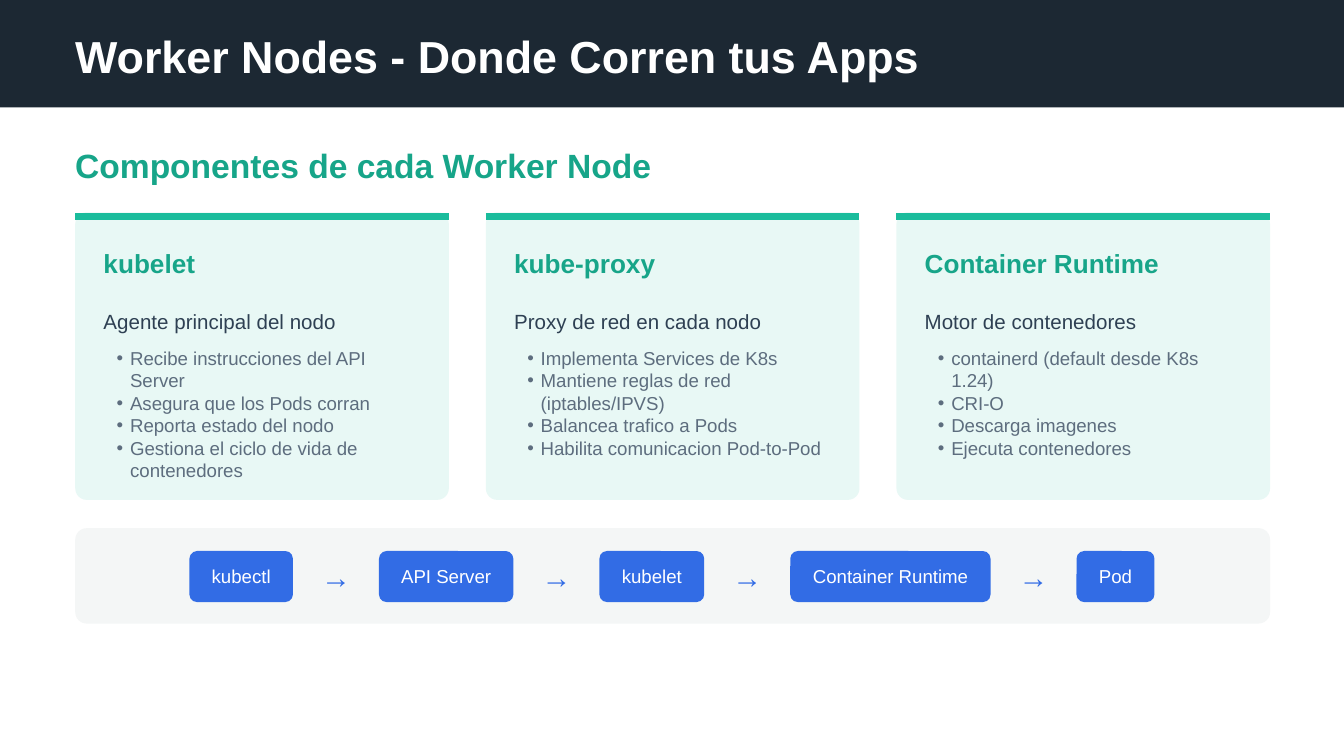
from lxml import etree
from pptx import Presentation
from pptx.dml.color import RGBColor
from pptx.enum.shapes import MSO_CONNECTOR, MSO_SHAPE
from pptx.enum.text import MSO_ANCHOR, PP_ALIGN
from pptx.oxml.ns import qn
from pptx.util import Inches, Pt

COLORS = {
    "header": "1C2833", "white": "FFFFFF", "heading": "17A589", "accent": "1ABC9C",
    "card": "E8F8F5", "lead": "2E4053", "bullet": "5D6D7E",
    "flow": "F4F6F6", "step": "326CE5",
}
MARGIN, CONTENT_WIDTH = 0.56, 8.89
CARD_TOP, CARD_WIDTH, CARD_HEIGHT = 1.58, 2.78, 2.14
STEP_GAP = 0.64

CARDS = [
    ("kubelet", "Agente principal del nodo", 0.94, [
        "Recibe instrucciones del API Server",
        "Asegura que los Pods corran",
        "Reporta estado del nodo",
        "Gestiona el ciclo de vida de contenedores",
    ]),
    ("kube-proxy", "Proxy de red en cada nodo", 0.78, [
        "Implementa Services de K8s",
        "Mantiene reglas de red (iptables/IPVS)",
        "Balancea trafico a Pods",
        "Habilita comunicacion Pod-to-Pod",
    ]),
    ("Container Runtime", "Motor de contenedores", 0.78, [
        "containerd (default desde K8s 1.24)",
        "CRI-O",
        "Descarga imagenes",
        "Ejecuta contenedores",
    ]),
]
STEPS = [("kubectl", 0.77), ("API Server", 1), ("kubelet", 0.78),
         ("Container Runtime", 1.49), ("Pod", 0.58)]

presentation = Presentation()
presentation.slide_width = Inches(10)
presentation.slide_height = Inches(10 * 9 / 16)
slide = presentation.slides.add_slide(presentation.slide_layouts[6])


def add_box(left, top, width, height, color, corner=None):
    """Add a borderless filled rectangle, rounded when a corner ratio is given."""
    kind = MSO_SHAPE.RECTANGLE if corner is None else MSO_SHAPE.ROUNDED_RECTANGLE
    shape = slide.shapes.add_shape(
        kind, Inches(left), Inches(top), Inches(width), Inches(height))
    if corner is not None:
        shape.adjustments[0] = corner
    shape.shadow.inherit = False
    shape.fill.solid()
    shape.fill.fore_color.rgb = RGBColor.from_string(COLORS[color])
    shape.line.fill.background()
    return shape


def write(shape, lines, size, color, bold=False, bullets=False, spacing=None, wrap=True):
    """Fill a shape with one paragraph per line, without insets."""
    frame = shape.text_frame
    settings = {
        "word_wrap": wrap, "margin_left": Inches(0.1 if bullets else 0),
        "margin_top": 0, "margin_right": 0, "margin_bottom": 0,
    }
    for name, value in settings.items():
        setattr(frame, name, value)
    for index, line in enumerate(lines):
        paragraph = frame.add_paragraph() if index else frame.paragraphs[0]
        if bullets:
            properties = paragraph._p.get_or_add_pPr()
            properties.set("marL", str(Inches(0.1)))
            properties.set("indent", str(-Inches(0.1)))
            bullet_color = etree.SubElement(properties, qn("a:buClr"))
            etree.SubElement(bullet_color, qn("a:srgbClr"), val=COLORS[color])
            etree.SubElement(properties, qn("a:buSzPct"), val="100000")
            etree.SubElement(properties, qn("a:buFont"), typeface="Arial")
            etree.SubElement(properties, qn("a:buChar"), char="•")
        if spacing:
            paragraph.line_spacing = spacing
        run = paragraph.add_run()
        run.text = line
        for name, value in {"name": "Arial", "size": Pt(size), "bold": bold}.items():
            setattr(run.font, name, value)
        run.font.color.rgb = RGBColor.from_string(COLORS[color])


# Header and subtitle
add_box(0, 0, 10, 0.8, "header")
for text, top, height, size, color in [
    ("Worker Nodes - Donde Corren tus Apps", 0.21, 0.39, 24, "white"),
    ("Componentes de cada Worker Node", 1.08, 0.29, 18, "heading"),
]:
    heading = slide.shapes.add_textbox(
        Inches(MARGIN), Inches(top), Inches(9.07), Inches(height))
    write(heading, [text], size, color, bold=True)

# Component cards
card_step = (CONTENT_WIDTH - CARD_WIDTH) / (len(CARDS) - 1)
for index, (name, lead, list_height, bullets) in enumerate(CARDS):
    left = MARGIN + index * card_step
    add_box(left, CARD_TOP, CARD_WIDTH, CARD_HEIGHT, "card", 0.04)
    rule = slide.shapes.add_connector(
        MSO_CONNECTOR.STRAIGHT, Inches(left), Inches(1.61),
        Inches(left + CARD_WIDTH), Inches(1.61))
    rule.line.color.rgb = RGBColor.from_string(COLORS["accent"])
    rule.line.width = Pt(3.75)
    etree.SubElement(rule._element.spPr, qn("a:effectLst"))
    for lines, top, width, height, style in [
        ([name], 1.84, 2.41, 0.23, {"size": 14, "color": "heading", "bold": True}),
        ([lead], 2.21, 2.41, 0.23, {"size": 11, "color": "lead", "spacing": 1.5}),
        (bullets, 2.58, 2.36, list_height,
         {"size": 10, "color": "bullet", "bullets": True}),
    ]:
        box = slide.shapes.add_textbox(
            Inches(left + 0.21), Inches(top), Inches(width), Inches(height))
        write(box, lines, **style)

# Flow from command to Pod
add_box(MARGIN, 3.93, CONTENT_WIDTH, 0.71, "flow", 0.12)
left = 1.41
for index, (label, width) in enumerate(STEPS):
    if index:
        arrow = slide.shapes.add_textbox(
            Inches(left - STEP_GAP + 0.21), Inches(4.16), Inches(0.23), Inches(0.26))
        write(arrow, ["→"], 16, "step")
    step = add_box(left, 4.1, width, 0.38, "step", 0.15)
    write(step, [label], 10, "white", wrap=False)
    step.text_frame.vertical_anchor = MSO_ANCHOR.MIDDLE
    step.text_frame.paragraphs[0].alignment = PP_ALIGN.CENTER
    left += width + STEP_GAP

presentation.save("out.pptx")
